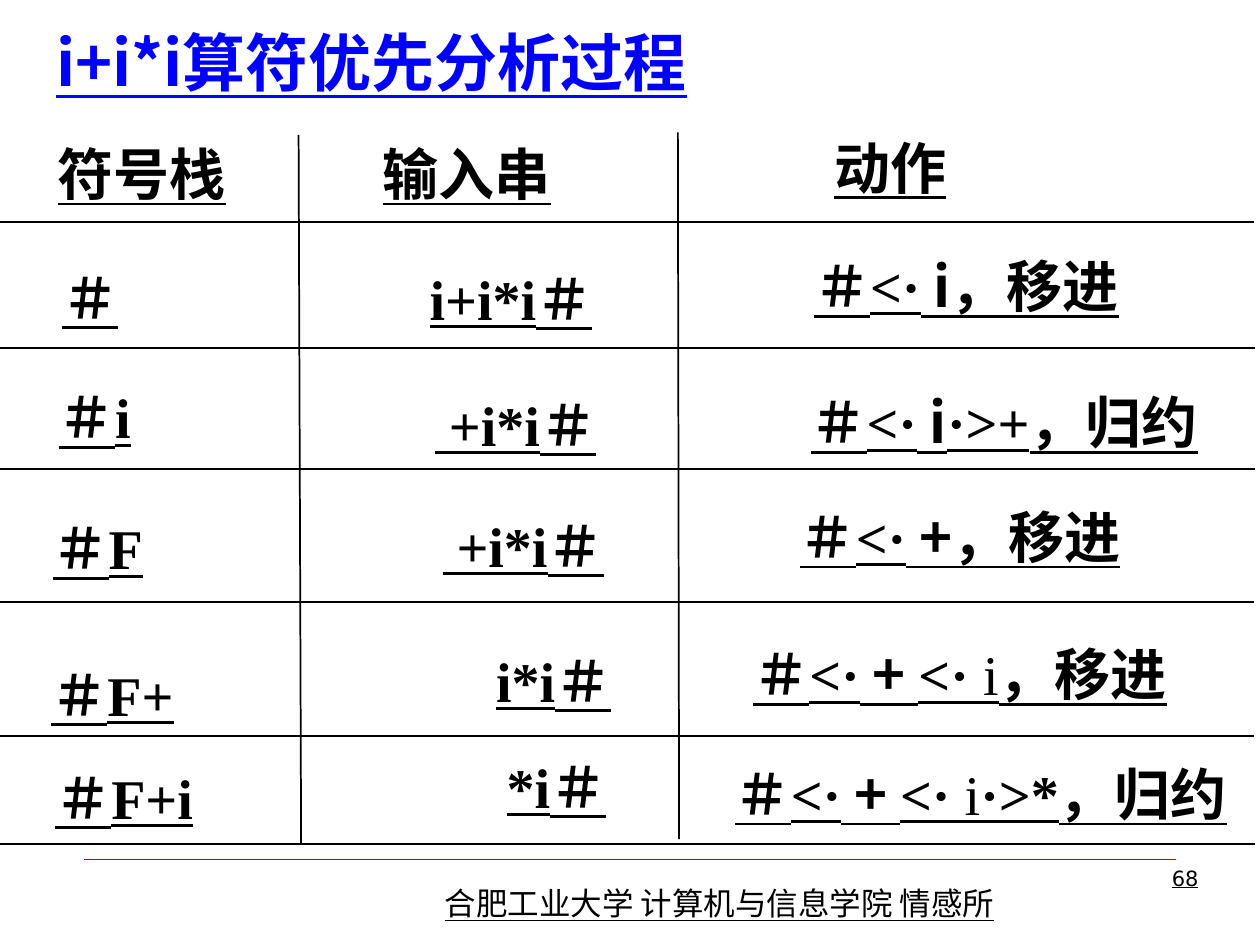
from dataclasses import dataclass

from lxml.etree import SubElement
from pptx import Presentation
from pptx.dml.color import RGBColor
from pptx.enum.shapes import MSO_CONNECTOR
from pptx.enum.text import MSO_AUTO_SIZE, PP_ALIGN
from pptx.oxml.ns import qn
from pptx.slide import Slide
from pptx.util import Inches, Pt


@dataclass(frozen=True)
class Theme:
    black: RGBColor = RGBColor(0, 0, 0)
    blue: RGBColor = RGBColor(0, 0, 255)
    red: RGBColor = RGBColor(0xCC, 0, 0)
    serif: str = "Times New Roman"
    chinese: str = "Noto Sans CJK SC"
    sans: str = "DejaVu Sans"
    title_size: int = 36
    body_size: int = 32
    footer_size: int = 18
    number_size: int = 12
    grid_width: float = 1
    footer_width: float = 0.25


THEME = Theme()


@dataclass(frozen=True)
class Piece:
    text: str
    font: str = THEME.serif
    bold: bool = True


@dataclass(frozen=True)
class Label:
    left: float
    top: float
    width: float
    pieces: tuple[Piece, ...]
    align: PP_ALIGN = PP_ALIGN.CENTER
    size: int = THEME.body_size
    color: RGBColor = THEME.black
    height: float = 0.64


@dataclass(frozen=True)
class Rule:
    start: tuple[float, float]
    end: tuple[float, float]
    color: RGBColor = THEME.black
    width: float = THEME.grid_width


def chinese(text: str, bold: bool = True) -> Piece:
    return Piece(text, THEME.chinese, bold)


def draw_label(slide: Slide, label: Label) -> None:
    shape = slide.shapes.add_textbox(
        Inches(label.left), Inches(label.top), Inches(label.width), Inches(label.height)
    )
    text_frame = shape.text_frame
    text_frame.word_wrap = True
    text_frame.auto_size = MSO_AUTO_SIZE.SHAPE_TO_FIT_TEXT
    paragraph = text_frame.paragraphs[0]
    paragraph.alignment = label.align
    for piece in label.pieces:
        run = paragraph.add_run()
        run.text = piece.text
        font = run.font
        font.name = piece.font
        font.size = Pt(label.size)
        font.bold = piece.bold
        font.underline = True
        font.color.rgb = label.color
        east_asian = SubElement(run._r.get_or_add_rPr(), qn("a:ea"))
        east_asian.set("typeface", THEME.chinese)


def draw_rule(slide: Slide, rule: Rule) -> None:
    points = [Inches(value) for value in (*rule.start, *rule.end)]
    connector = slide.shapes.add_connector(MSO_CONNECTOR.STRAIGHT, *points)
    connector.line.color.rgb = rule.color
    connector.line.width = Pt(rule.width)
    SubElement(connector._element.spPr, qn("a:effectLst"))


HASH = chinese("＃")
LESS = Piece("<·")
PLUS = chinese(" + ")
PLAIN_I = Piece(" i", bold=False)
SHIFT = chinese("，移进")
REDUCE = chinese("，归约")

RULES = [
    Rule((0.67, 6.82), (9.33, 6.82), THEME.red, THEME.footer_width),
    *(Rule((-0.05, y), (9.95, y)) for y in (1.76, 4.78, 5.84)),
    *(Rule((-0.04, y), (9.96, y)) for y in (2.76, 3.72, 6.7)),
    Rule((2.37, 1.07), (2.39, 6.69)),
    Rule((5.38, 1.05), (5.39, 6.66)),
]

FRAME = [
    Label(3.43, 6.97, 4.8, (chinese("合肥工业大学 计算机与信息学院 情感所", False),),
          PP_ALIGN.LEFT, THEME.footer_size, height=0.4),
    Label(0.35, 0.14, 6.14, (chinese("i+i*i算符优先分析过程"),),
          PP_ALIGN.LEFT, THEME.title_size, THEME.blue, 0.7),
    Label(7.44, 6.82, 2.17, (Piece("68", THEME.sans, False),),
          PP_ALIGN.RIGHT, THEME.number_size, height=0.52),
]

HEADINGS = [
    Label(left, top, 1.59, (Piece(text),))
    for left, top, text in (
        (0.33, 1.06, "符号栈"), (2.91, 1.06, "输入串"), (6.27, 1.01, "动作")
    )
]

STACKS = [
    Label(0.36, 2.04, 0.71, (Piece("＃"),)),
    *(
        Label(left, top, width, (Piece(text),), PP_ALIGN.LEFT)
        for left, top, width, text in (
            (0.37, 2.99, 1.34, "＃i"),
            (0.32, 4.03, 1.34, "＃F"),
            (0.31, 5.19, 1.34, "＃F+"),
            (0.34, 6.01, 2.61, "＃F+i"),
        )
    ),
]

INPUTS = [
    Label(left, top, 1.88, (Piece(text),), PP_ALIGN.RIGHT)
    for left, top, text in (
        (2.92, 2.05, "i+i*i＃"),
        (2.95, 3.05, " +i*i＃"),
        (3.01, 4.01, " +i*i＃"),
        (3.07, 5.08, "i*i＃"),
        (3.03, 5.92, "*i＃"),
    )
]

ACTIONS = [
    Label(6.09, 1.95, 3.16, (HASH, LESS, chinese(" i"), SHIFT)),
    Label(5.9, 3.03, 4.14, (HASH, LESS, chinese(" i"), Piece("·>+"), REDUCE)),
    Label(6.04, 3.94, 3.16, (HASH, LESS, chinese(" +"), SHIFT)),
    Label(5.59, 5.03, 4.06, (HASH, LESS, PLUS, LESS, PLAIN_I, SHIFT)),
    Label(5.34, 5.98, 4.89, (HASH, LESS, PLUS, LESS, PLAIN_I, Piece("·>*"), REDUCE)),
]


def main() -> None:
    presentation = Presentation()
    presentation.slide_width = Inches(10)
    presentation.slide_height = Inches(7.5)
    slide = presentation.slides.add_slide(presentation.slide_layouts[6])
    for rule in RULES:
        draw_rule(slide, rule)
    for label in (*FRAME, *HEADINGS, *STACKS, *INPUTS, *ACTIONS):
        draw_label(slide, label)
    presentation.save("out.pptx")


if __name__ == "__main__":
    main()
